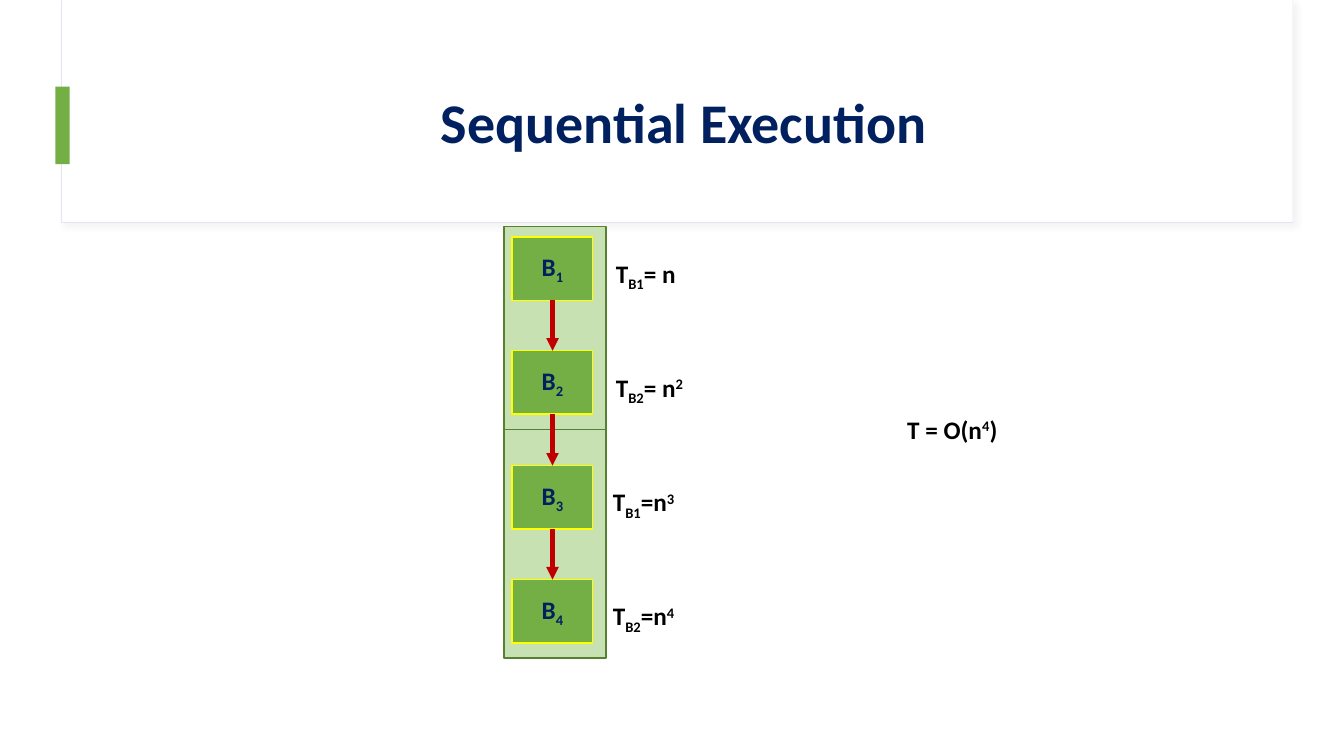
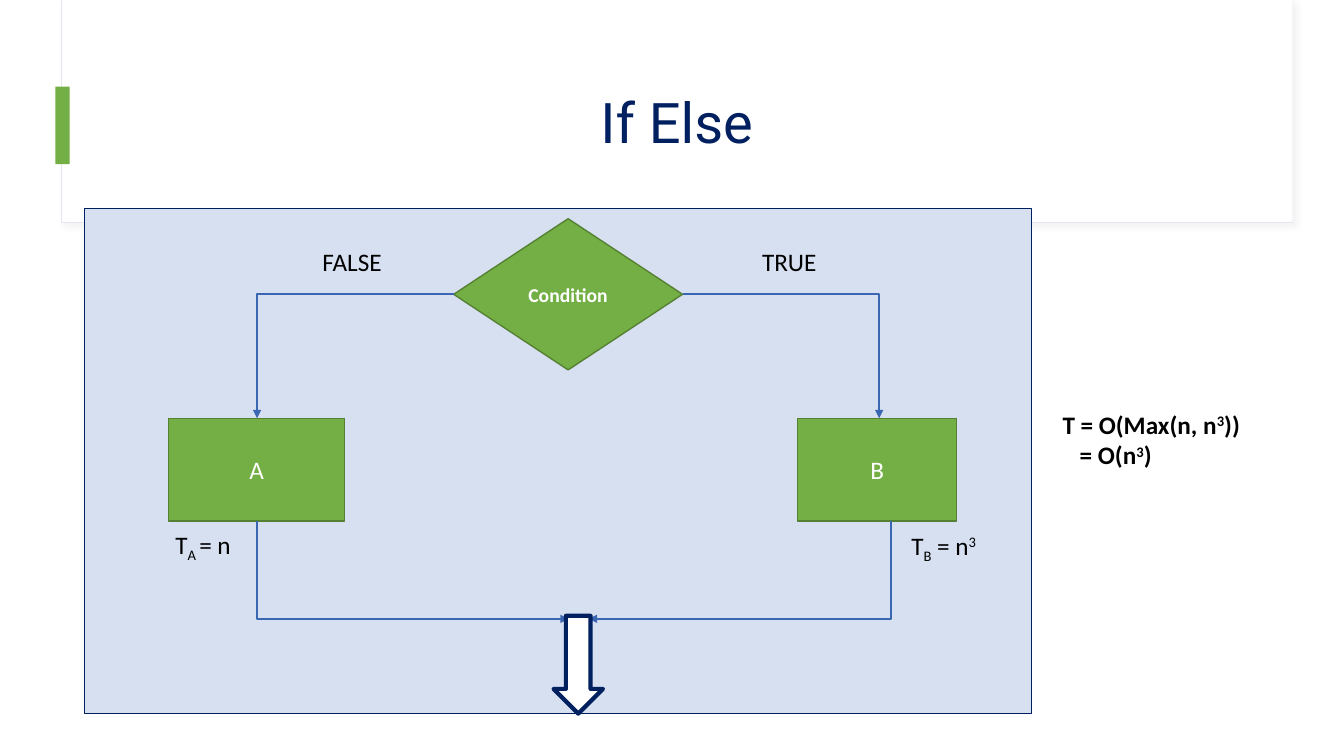
"""Build two slides on the running time of sequences and branches."""
from lxml import etree
from pptx import Presentation, util as u
from pptx.dml.color import RGBColor
from pptx.enum import shapes as s, text as t
from pptx.oxml.ns import qn

PX = 9144
NAVY, GREEN, MOSS, PALE = "002060", "74AF45", "568133", "C7E1B3"
WHITE, BLACK, BLUE, RED = "FFFFFF", "000000", "3B66B1", "C00000"
YELLOW, SKY, MIST, GRAY = "FFFF00", "D6E0F1", "E3E6F0", "D9D9D9"
RECT = s.MSO_SHAPE.RECTANGLE
BASE = {"_": "-25000", "^": "30000"}

PANELS = [(500, 225, 101, 201), (500, 426, 101, 227)]
STEPS = [
    ("B|_1", "T|_B1|= n", 601),
    ("B|_2", "T|_B2|= n|^2", 601),
    ("B|_3", "T|_B1|=n|^3", 598),
    ("B|_4", "T|_B2|=n|^4", 598),
]
TOTAL = ("T = O(n|^4|)", (890, 406, 166, 40))

CASES = [
    ("A", (167, 415, 175, 102), 450, 255, 255, 564),
    ("B", (791, 415, 158, 102), 677, 872, 884, 584),
]
NOTES = [
    ("T|_A |= n", (164, 520, 94, 40)),
    ("T|_B| = n|^3", (894, 521, 140, 40)),
    ("TRUE", (746, 239, 103, 40)),
    ("FALSE", (310, 239, 103, 40)),
]
WORST = ["T = O(Max(n, n|^3|))", "= O(n|^3|)"]


def px(*nums):
    return [u.Emu(round(n * PX)) for n in nums]


def rgb(code):
    return RGBColor.from_string(code)


def write(shape, lines, size=18, color=BLACK, bold=False, font="Calibri",
          align="LEFT", anchor="TOP", space=None, indent=0):
    """Fill a shape; | parts runs, _ lowers one and ^ raises one."""
    frame = shape.text_frame
    frame.word_wrap = True
    frame.vertical_anchor = getattr(t.MSO_ANCHOR, anchor)
    for i, line in enumerate([lines] if isinstance(lines, str) else lines):
        para = frame.add_paragraph() if i else frame.paragraphs[0]
        para.alignment = getattr(t.PP_ALIGN, align)
        if space:
            para.line_spacing = space
        if i and indent:
            para._p.get_or_add_pPr().set("marL", str(indent * PX))
        for part in line.split("|"):
            base = BASE.get(part[0])
            run = para.add_run()
            run.text = part[1:] if base else part
            run.font.size = u.Pt(size)
            run.font.name = font
            run.font.bold = bold
            run.font.color.rgb = rgb(color)
            if base:
                run._r.get_or_add_rPr().set("baseline", base)


def label(slide, lines, box, **style):
    write(slide.shapes.add_textbox(*px(*box)), lines, **style)


def block(slide, box, fill, line=None, width=1, kind=RECT):
    shape = slide.shapes.add_shape(kind, *px(*box))
    shape.shadow.inherit = False
    shape.fill.solid()
    shape.fill.fore_color.rgb = rgb(fill)
    if line:
        shape.line.color.rgb = rgb(line)
        shape.line.width = u.Pt(width)
    else:
        shape.line.fill.background()
    return shape


def arrow(slide, start, end, color, width, bent=False, tip="tailEnd"):
    kind = s.MSO_CONNECTOR.ELBOW if bent else s.MSO_CONNECTOR.STRAIGHT
    link = slide.shapes.add_connector(kind, *px(*start, *end))
    link.line.color.rgb = rgb(color)
    link.line.width = u.Pt(width)
    props = link._element.spPr
    if bent:
        props.find(qn("a:prstGeom")).set("prst", "bentConnector2")
    etree.SubElement(props.find(qn("a:ln")), qn("a:" + tip), type="triangle")
    etree.SubElement(props, qn("a:effectLst"))


def shade(shape):
    effect = shape._element.spPr.find(qn("a:effectLst"))
    drop = etree.SubElement(effect, qn("a:outerShdw"), blurRad="50800",
                            dist="38100", dir="2700000", algn="tl")
    color = etree.SubElement(drop, qn("a:srgbClr"), val=GRAY)
    etree.SubElement(color, qn("a:alpha"), val="30000")


def start(deck):
    slide = deck.slides.add_slide(deck.slide_layouts[6])
    shade(block(slide, (61, 0, 1221, 221), WHITE, MIST, 0.75))
    block(slide, (62, 0, 1220, 220), WHITE)
    block(slide, (55, 86, 14, 77), GREEN)
    return slide


def title(slide, words, **style):
    label(slide, words, (122, 60, 1112, 129), size=40, color=NAVY,
          align="CENTER", anchor="MIDDLE", space=0.9, **style)


def sequence(deck):
    slide = start(deck)
    title(slide, "Sequential Execution", bold=True)
    for box in PANELS:
        block(slide, box, PALE, MOSS)
    tops = [235 + round(i * 340 / 3) for i in range(len(STEPS))]
    for top, (name, cost, left) in zip(tops, STEPS):
        step = block(slide, (508, top, 80, 63), GREEN, YELLOW)
        write(step, name, color=NAVY, bold=True, align="CENTER",
              anchor="MIDDLE")
        label(slide, cost, (left, top + 16, 166, 40), bold=True)
    for top, below in zip(tops, tops[1:]):
        arrow(slide, (548, top + 63), (548, below), RED, 3)
    label(slide, *TOTAL, bold=True)


def branch(deck):
    slide = start(deck)
    block(slide, (84, 207, 939, 501), SKY, NAVY)
    title(slide, "If Else ", font="Roboto")
    test = block(slide, (450, 217, 227, 150), GREEN, MOSS,
                 kind=s.MSO_SHAPE.DIAMOND)
    write(test, "Condition", size=14, color=WHITE, bold=True,
          align="CENTER", anchor="MIDDLE")
    for name, box, side, drop, leave, join in CASES:
        arrow(slide, (side, 292), (drop, 415), BLUE, 1.5, bent=True)
        case = block(slide, box, GREEN, MOSS)
        write(case, name, color=WHITE, align="CENTER", anchor="MIDDLE")
        arrow(slide, (join, 614), (leave, 517), BLUE, 1.5, bent=True,
              tip="headEnd")
    block(slide, (549, 611, 49, 97), WHITE, NAVY, 3,
          kind=s.MSO_SHAPE.DOWN_ARROW)
    for words, box in NOTES:
        label(slide, words, box)
    label(slide, WORST, (1044, 401, 246, 71), bold=True, indent=17)


def main():
    deck = Presentation()
    deck.slide_width, deck.slide_height = px(1333, 750)
    sequence(deck)
    branch(deck)
    deck.save("out.pptx")


if __name__ == "__main__":
    main()
